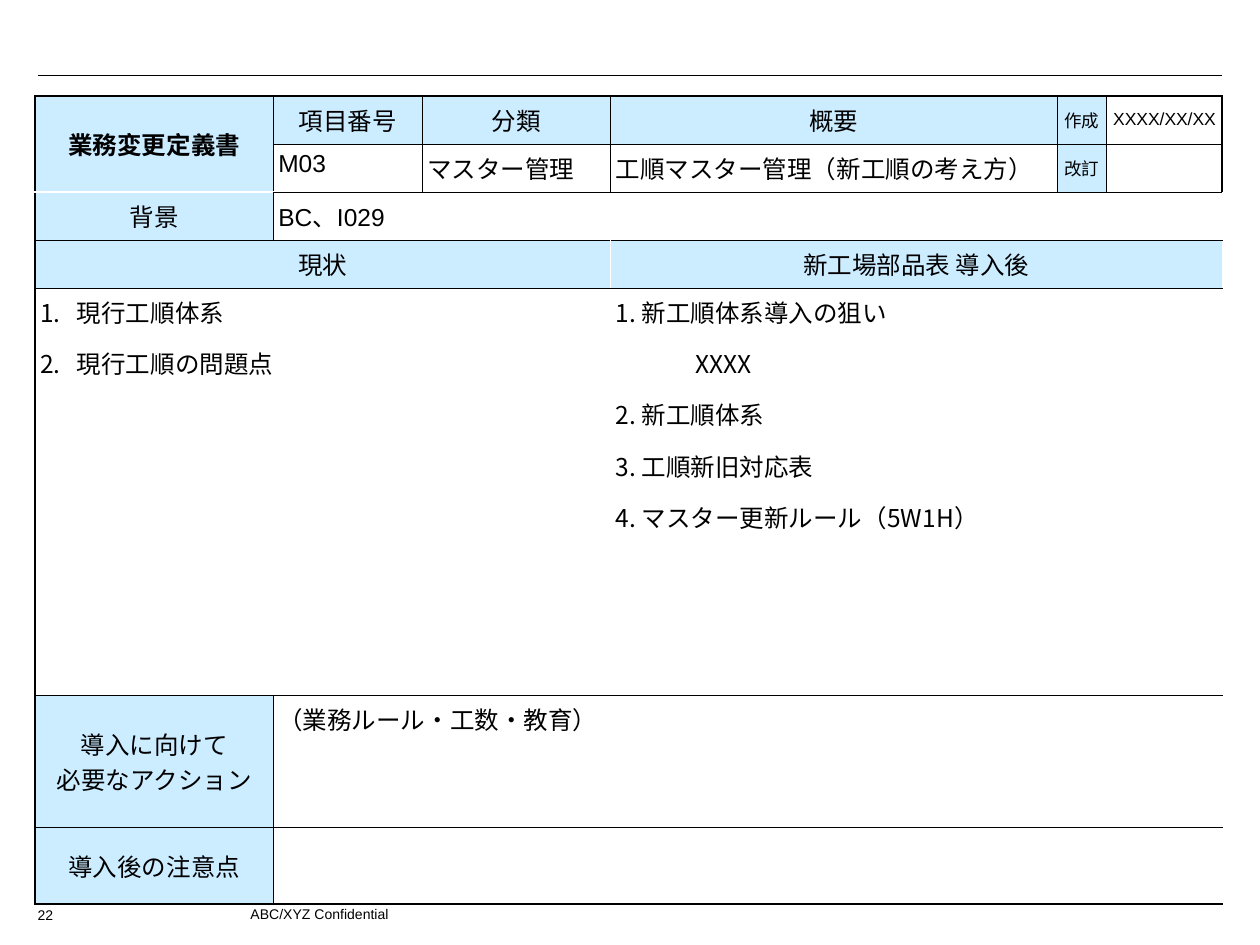
from lxml.etree import SubElement
from pptx import Presentation
from pptx.dml.color import RGBColor
from pptx.enum.shapes import MSO_CONNECTOR
from pptx.enum.text import MSO_ANCHOR, PP_ALIGN
from pptx.oxml.ns import qn
from pptx.util import Cm, Pt

BLACK, BLUE = "000000", "CCECFF"
ARIAL, NOTO = "Arial", "Noto Sans CJK JP"


def color(code):
    return RGBColor.from_string(code)


def write(frame, text, size=14, bold=False, font=ARIAL, center=False,
          gap=8.8, number=False, indents=()):
    """Fill a frame, one paragraph per line; indents maps line to left margin in cm."""
    margins = dict(indents)
    for i, line in enumerate(text.split("\n")):
        para = frame.paragraphs[0] if i == 0 else frame.add_paragraph()
        para.alignment = PP_ALIGN.CENTER if center else PP_ALIGN.LEFT
        para.space_before = Pt(gap if i else 0)
        props = para._p.get_or_add_pPr()
        if number:
            props.set("marL", str(Cm(0.74)))
            props.set("indent", str(Cm(-0.74)))
            SubElement(props, qn("a:buFont"), typeface=NOTO)
            SubElement(props, qn("a:buAutoNum"), type="arabicPeriod")
        elif i in margins:
            props.set("marL", str(Cm(margins[i])))
            props.set("indent", "0")
        run = para.add_run()
        run.text = line
        run.font.size, run.font.bold, run.font.name = Pt(size), bold, font
        run.font.color.rgb = color(BLACK)
        SubElement(run._r.get_or_add_rPr(), qn("a:ea"), typeface=NOTO)


deck = Presentation()
deck.slide_width, deck.slide_height = Cm(25.4), Cm(19.05)
slide = deck.slides.add_slide(deck.slide_layouts[6])
shapes = slide.shapes

# Rule across the top
rule = shapes.add_connector(MSO_CONNECTOR.STRAIGHT, Cm(0.76), Cm(1.52), Cm(24.64), Cm(1.52))
rule.line.color.rgb = color(BLACK)
rule.line.width = Pt(0.75)
SubElement(rule._element.spPr, qn("a:effectLst"))

# Definition form
widths = [4.8, 3, 3.8, 9, 1, 2.33]
heights = [0.97] * 4 + [8.2, 2.67, 1.55]
rows, cols = len(heights), len(widths)
table = shapes.add_table(rows, cols, Cm(0.71), Cm(1.93),
                         Cm(sum(widths)), Cm(sum(heights))).table
table.first_row = table.horz_banding = False
for col, width in zip(table.columns, widths):
    col.width = Cm(width)
for row, height in zip(table.rows, heights):
    row.height = Cm(height)

head = dict(center=True)
small = dict(center=True, size=10)
# row, column, rows spanned, columns spanned, text, filled, middle, format
cells = [
    (0, 0, 2, 1, "業務変更定義書", True, True, dict(center=True, bold=True)),
    (0, 1, 1, 1, "項目番号", True, True, head),
    (0, 2, 1, 1, "分類", True, True, head),
    (0, 3, 1, 1, "概要", True, True, head),
    (0, 4, 1, 1, "作成", True, True, small),
    (0, 5, 1, 1, "XXXX/XX/XX", False, True, small),
    (1, 1, 1, 1, "M03", False, False, {}),
    (1, 2, 1, 1, "マスター管理", False, True, {}),
    (1, 3, 1, 1, "工順マスター管理（新工順の考え方）", False, True, {}),
    (1, 4, 1, 1, "改訂", True, True, small),
    (1, 5, 1, 1, "", False, True, small),
    (2, 0, 1, 1, "背景", True, True, head),
    (2, 1, 1, 5, "BC、I029", False, False, {}),
    (3, 0, 1, 3, "現状", True, True, head),
    (3, 3, 1, 3, "新工場部品表 導入後", True, True, head),
    (4, 0, 1, 3, "現行工順体系\n現行工順の問題点", False, False, dict(number=True)),
    (4, 3, 1, 3, "1. 新工順体系導入の狙い\nXXXX\n2. 新工順体系\n3. 工順新旧対応表\n"
     "4. マスター更新ルール（5W1H）", False, False, dict(font=NOTO, indents={1: 1.61})),
    (5, 0, 1, 1, "導入に向けて\n必要なアクション", True, True, dict(center=True, gap=0)),
    (5, 1, 1, 5, "（業務ルール・工数・教育）", False, False, {}),
    (6, 0, 1, 1, "導入後の注意点", True, True, head),
    (6, 1, 1, 5, "", False, False, {}),
]

for top, left, tall, wide, text, filled, middle, style in cells:
    end, last = top + tall - 1, left + wide - 1
    cell = table.cell(top, left)
    if tall * wide > 1:
        cell.merge(table.cell(end, last))
    # Thick on the outside of the form, thin inside, none within a merged cell
    for r in range(top, end + 1):
        for c in range(left, last + 1):
            part = table.cell(r, c)
            props = part._tc.get_or_add_tcPr()
            sides = [("L", c == left, c == 0), ("R", c == last, c == cols - 1),
                     ("T", r == top, r == 0), ("B", r == end, r == rows - 1)]
            for side, edge, outer in sides:
                if edge:
                    line = SubElement(props, qn("a:ln" + side),
                                      w=str(Pt(1.08 if outer else 0.45)))
                    fill = SubElement(line, qn("a:solidFill"))
                    SubElement(fill, qn("a:srgbClr"), val=BLACK)
            if filled:
                part.fill.solid()
                part.fill.fore_color.rgb = color(BLUE)
            else:
                part.fill.background()
    cell.margin_left = cell.margin_right = Cm(0.05 if left == 4 else 0.1)
    cell.margin_top = cell.margin_bottom = Cm(0.12)
    cell.vertical_anchor = MSO_ANCHOR.MIDDLE if middle else MSO_ANCHOR.TOP
    write(cell.text_frame, text, **style)

# Footer
for left, top, width, text in [(4.8, 18.14, 16.51, "ABC/XYZ Confidential"),
                               (0.51, 18.16, 1.02, "22")]:
    frame = shapes.add_textbox(Cm(left), Cm(top), Cm(width), Cm(0.51)).text_frame
    frame.word_wrap = True
    write(frame, text, size=8)

deck.save("out.pptx")
